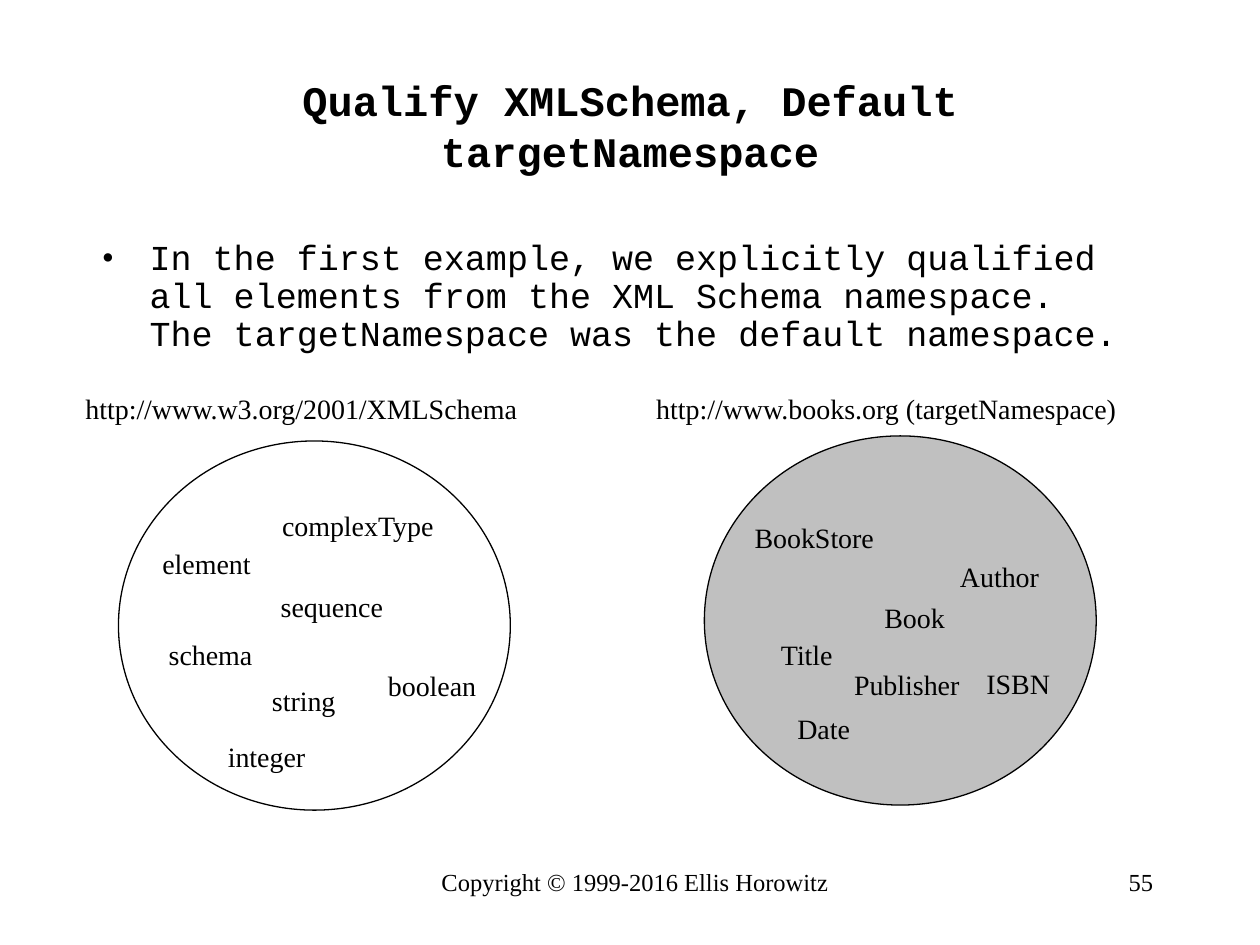
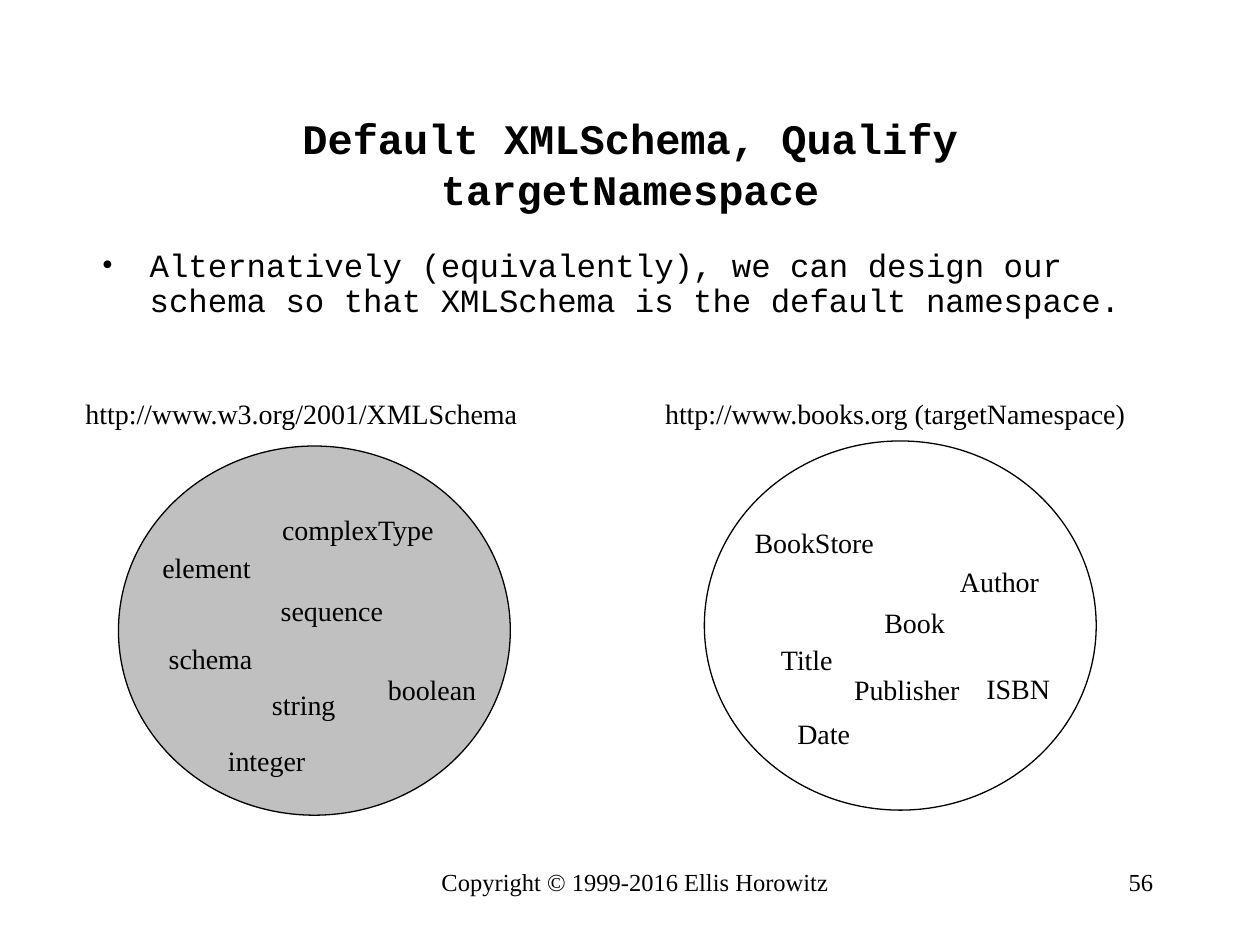
from dataclasses import dataclass

from lxml.etree import SubElement
from pptx import Presentation
from pptx.dml.color import RGBColor
from pptx.enum.shapes import MSO_SHAPE
from pptx.enum.text import MSO_ANCHOR, MSO_AUTO_SIZE, PP_ALIGN
from pptx.oxml.ns import qn
from pptx.util import Inches, Pt


@dataclass(frozen=True)
class Theme:
    ink: RGBColor = RGBColor(0x00, 0x00, 0x00)
    plain: RGBColor = RGBColor(0xFF, 0xFF, 0xFF)
    default_namespace: RGBColor = RGBColor(0xC0, 0xC0, 0xC0)
    code_font: str = "Courier New"
    text_font: str = "Times New Roman"
    title_size: float = 24
    label_size: float = 16
    footer_size: float = 14
    outline: float = 0.75


@dataclass(frozen=True)
class Namespace:
    """A circle of names; tops are measured on the first slide."""
    uri: str
    uri_width: float
    circle_left: float
    circle_top: float
    names: tuple  # (name, left, top, width)


THEME = Theme()
LABEL_HEIGHT = 0.37
URI_TOP = 3.06
CIRCLE_WIDTH, CIRCLE_HEIGHT = 3.11, 2.93
FOOTER_TOP, FOOTER_HEIGHT = 6.83, 0.5

XML_SCHEMA = Namespace(
    "http://www.w3.org/2001/XMLSchema", 3.67, 0.94, 3.5,
    (
        ("element", 1.19, 4.29, 0.92),
        ("complexType", 2.14, 3.99, 1.44),
        ("schema", 1.24, 5.01, 0.88),
        ("sequence", 2.13, 4.63, 1.03),
        ("string", 2.06, 5.38, 0.72),
        ("integer", 1.71, 5.82, 0.83),
        ("boolean", 2.98, 5.26, 0.92),
    ),
)
TARGET = Namespace(
    "http://www.books.org (targetNamespace)", 3.89, 5.59, 3.46,
    (
        ("BookStore", 5.89, 4.08, 1.17),
        ("Book", 6.92, 4.72, 0.7),
        ("Title", 6.1, 5.01, 0.64),
        ("Author", 7.52, 4.39, 0.85),
        ("Date", 6.23, 5.6, 0.64),
        ("ISBN", 7.73, 5.24, 0.72),
        ("Publisher", 6.68, 5.25, 1.06),
    ),
)


def place(shape, left, top, width, height):
    shape.left, shape.top = Inches(left), Inches(top)
    shape.width, shape.height = Inches(width), Inches(height)


def write(shape, text, font, size, align=PP_ALIGN.LEFT, bold=False):
    """Fill a shape with one formatted paragraph and return the paragraph."""
    shape.text_frame.text = text
    paragraph = shape.text_frame.paragraphs[0]
    paragraph.alignment = align
    for run in paragraph.runs:
        run.font.name = font
        run.font.size = Pt(size)
        run.font.bold = bold
        run.font.color.rgb = THEME.ink
    return paragraph


def add_text(slide, box, text, font, size, align=PP_ALIGN.LEFT, wrap=True):
    shape = slide.shapes.add_textbox(*map(Inches, box))
    shape.text_frame.word_wrap = wrap
    if not wrap:
        shape.text_frame.auto_size = MSO_AUTO_SIZE.SHAPE_TO_FIT_TEXT
    return write(shape, text, font, size, align)


def add_title(slide, text, top, height):
    title = slide.shapes.title
    place(title, 0.75, top, 8.5, height)
    write(title, text, THEME.code_font, THEME.title_size, PP_ALIGN.CENTER, bold=True)
    title.text_frame.auto_size = MSO_AUTO_SIZE.NONE
    title.text_frame.vertical_anchor = MSO_ANCHOR.MIDDLE


def add_bullet(slide, text, top, height, size):
    paragraph = add_text(slide, (0.71, top, 8.5, height), text, THEME.code_font, size)
    paragraph.line_spacing = 0.9
    paragraph.space_before = Pt(5)
    properties = paragraph._p.get_or_add_pPr()
    properties.set("marL", str(Inches(0.38)))
    properties.set("indent", str(Inches(-0.38)))
    SubElement(properties, qn("a:buFont"), typeface=THEME.text_font)
    SubElement(properties, qn("a:buChar"), char="•")


def add_label(slide, text, left, top, width):
    add_text(slide, (left, top, width, LABEL_HEIGHT), text,
             THEME.text_font, THEME.label_size, wrap=False)


def add_namespace(slide, namespace, fill, uri_left, drop=0, names_drop=0):
    """Draw a namespace, lowered by the given drops from its first position."""
    circle = slide.shapes.add_shape(
        MSO_SHAPE.OVAL, Inches(namespace.circle_left), Inches(namespace.circle_top + drop),
        Inches(CIRCLE_WIDTH), Inches(CIRCLE_HEIGHT))
    circle.shadow.inherit = False
    circle.fill.solid()
    circle.fill.fore_color.rgb = fill
    circle.line.color.rgb = THEME.ink
    circle.line.width = Pt(THEME.outline)
    add_label(slide, namespace.uri, uri_left, URI_TOP + drop, namespace.uri_width)
    for name, left, top, width in namespace.names:
        add_label(slide, name, left, top + names_drop, width)


def add_footer(slide, number):
    for text, left, width, align in (
        ("Copyright © 1999-2016 Ellis Horowitz", 3.25, 3.58, PP_ALIGN.CENTER),
        (str(number), 7.17, 2.08, PP_ALIGN.RIGHT),
    ):
        add_text(slide, (left, FOOTER_TOP, width, FOOTER_HEIGHT), text,
                 THEME.text_font, THEME.footer_size, align)


def add_slide(presentation, number):
    slide = presentation.slides.add_slide(presentation.slide_layouts.get_by_name("Title Only"))
    add_footer(slide, number)
    return slide


def build_target_default(presentation):
    slide = add_slide(presentation, 55)
    add_title(slide, "Qualify XMLSchema, Default targetNamespace", 0.42, 1.15)
    add_bullet(slide, "In the first example, we explicitly qualified all elements from the "
               "XML Schema namespace.  The targetNamespace was the default namespace.",
               1.86, 1.05, 20)
    add_namespace(slide, TARGET, THEME.default_namespace, 5.11)
    add_namespace(slide, XML_SCHEMA, THEME.plain, 0.58)


def build_schema_default(presentation):
    slide = add_slide(presentation, 56)
    add_title(slide, "Default XMLSchema, Qualify targetNamespace", 0.67, 1.25)
    add_bullet(slide, "Alternatively (equivalently), we can design our schema so that "
               "XMLSchema is the default namespace.", 1.93, 0.95, 18.5)
    add_namespace(slide, TARGET, THEME.plain, 5.18, drop=0.04, names_drop=0.04)
    add_namespace(slide, XML_SCHEMA, THEME.default_namespace, 0.58, drop=0.04, names_drop=0.03)


def main():
    presentation = Presentation()
    presentation.slide_width, presentation.slide_height = Inches(10), Inches(7.5)
    build_target_default(presentation)
    build_schema_default(presentation)
    presentation.save("out.pptx")


if __name__ == "__main__":
    main()
